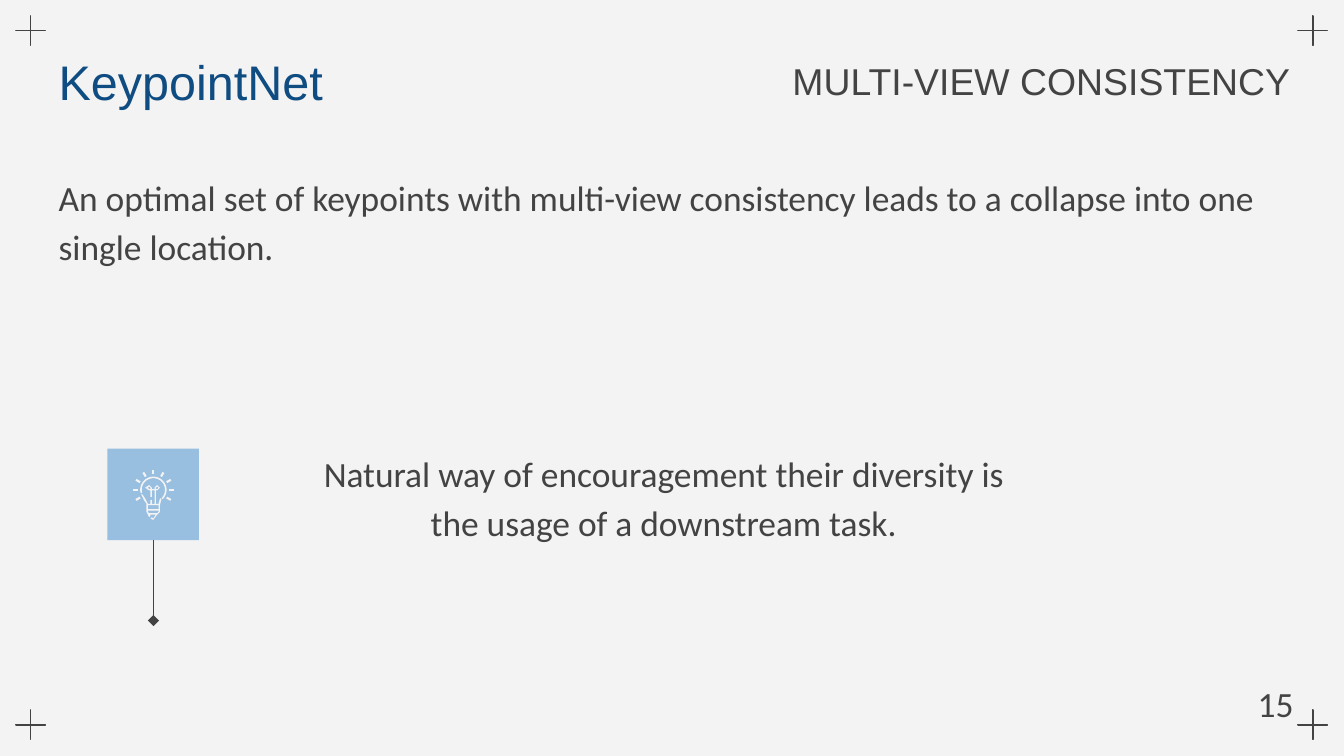
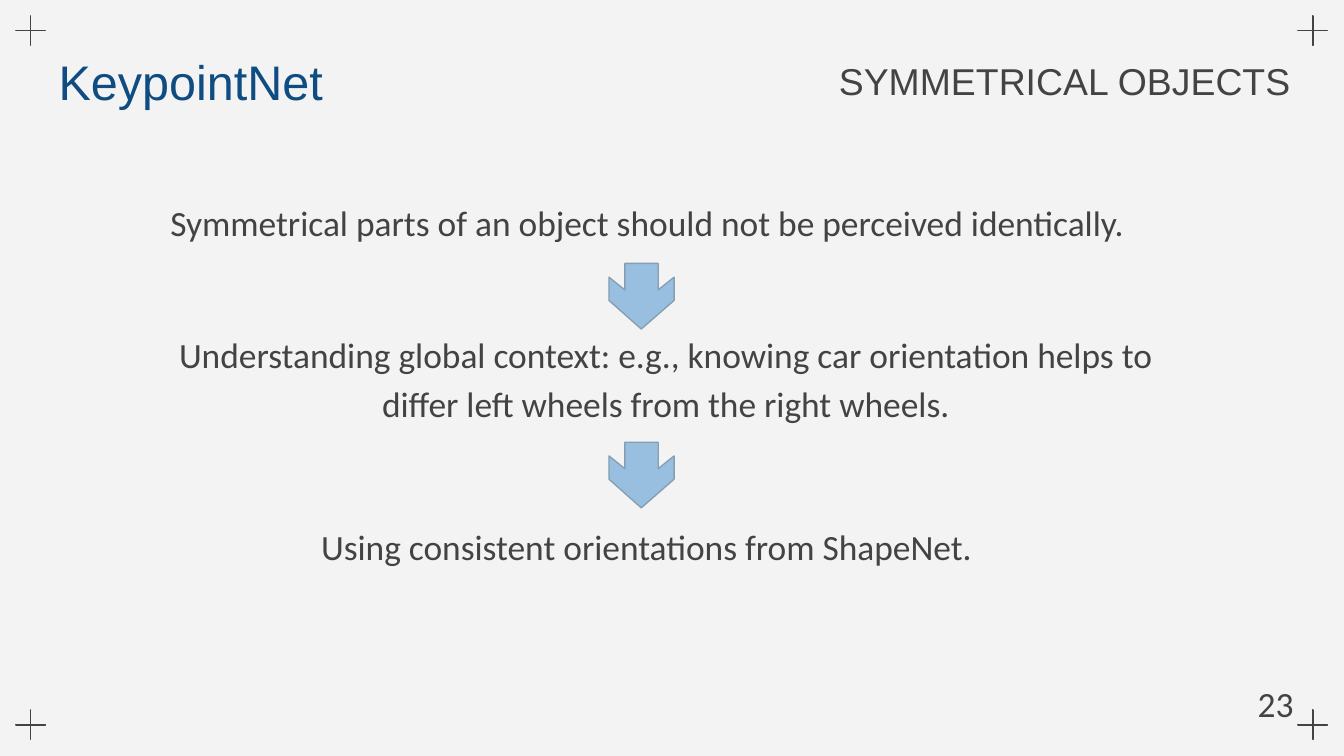
import math
import pptx
import pptx.util
import pptx.dml.color
import pptx.enum.shapes
import pptx.enum.text
import pptx.oxml
import pptx.oxml.ns

Cm = pptx.util.Cm
Pt = pptx.util.Pt
RGB = pptx.dml.color.RGBColor.from_string
Kind = pptx.enum.shapes.MSO_SHAPE
Side = pptx.enum.text.PP_ALIGN
Hold = pptx.enum.text.MSO_ANCHOR

hues = {"paper": "F3F3F3", "ink": "434343", "navy": "0F4C81", "sky": "98BEE0", "edge": "869FB2"}


def write(slide, text, box, size=19, font="Calibri", hue="ink", align=Side.LEFT, low=None):
    area = slide.shapes.add_textbox(*[Cm(n) for n in box])
    frame = area.text_frame
    frame.word_wrap = True
    para = frame.paragraphs[0]
    para.alignment = align
    if low:
        frame.vertical_anchor = Hold.BOTTOM
        frame.margin_bottom = Cm(low)
        para.line_spacing = 1.15
    run = para.add_run()
    run.text = text
    run.font.size = Pt(size)
    run.font.name = font
    run.font.color.rgb = RGB(hues[hue])


def draw(slide, loops, fill, edge=None):
    maker = None
    for loop in loops:
        pts = [(Cm(x), Cm(y)) for x, y in loop]
        if maker is None:
            maker = slide.shapes.build_freeform(*pts[0])
        else:
            maker.move_to(*pts[0])
        maker.add_line_segments(pts[1:], close=True)
    form = maker.convert_to_shape()
    form.shadow.inherit = False
    form.fill.solid()
    form.fill.fore_color.rgb = RGB(hues[fill])
    if edge:
        form.line.color.rgb = RGB(hues[edge])
        form.line.width = Pt(0.75)
    else:
        form.line.fill.background()


deck = pptx.Presentation()
deck.slide_width = Cm(25.4)
deck.slide_height = Cm(14.29)
back = deck.slide_master.background.fill
back.solid()
back.fore_color.rgb = RGB(hues["paper"])

pages = []
for topic, number in [("MULTI-VIEW CONSISTENCY", "15"), ("SYMMETRICAL OBJECTS", "23")]:
    slide = deck.slides.add_slide(deck.slide_layouts[6])
    for top in (0.2, 13.32):
        for left in (0.2, 24.43):
            cross = slide.shapes.add_shape(Kind.MATH_PLUS, Cm(left), Cm(top), Cm(0.76), Cm(0.76))
            cross.adjustments[0] = 0.007
            cross.shadow.inherit = False
            cross.fill.background()
            cross.line.color.rgb = RGB(hues["ink"])
            cross.line.width = Pt(0.75)
    write(slide, "KeypointNet", (0.86, 0.86, 9.5, 1.12), 26, "Arial", "navy")
    write(slide, topic, (12.12, 0.97, 12.52, 1.12), 20, "Arial", align=Side.RIGHT)
    write(slide, number, (23.52, 12.5, 1.22, 1.45), low=0.25)
    pages.append(slide)

views, pairs = pages

write(views, "An optimal set of keypoints with multi-view consistency leads to a collapse into one single location.",
      (0.86, 3.66, 23.44, 2.57), low=1.17)
write(views, "Natural way of encouragement their diversity is the usage of a downstream task.",
      (5.61, 7.95, 13.87, 2.57), align=Side.CENTER, low=0.25)

tile = views.shapes.add_shape(Kind.RECTANGLE, Cm(2.03), Cm(8.48), Cm(1.73), Cm(1.73))
tile.shadow.inherit = False
tile.fill.solid()
tile.fill.fore_color.rgb = RGB(hues["sky"])
tile.line.fill.background()

mid, high = 2.9, 9.26
for turn in range(-120, 121, 30):
    if abs(turn) == 150:
        continue
    sin, cos = math.sin(math.radians(turn)), math.cos(math.radians(turn))
    ray = [(mid + r * sin + w * cos, high - r * cos + w * sin)
           for r, w in [(0.29, -0.02), (0.38, -0.02), (0.38, 0.02), (0.29, 0.02)]]
    draw(views, [ray], "paper")

turns = [math.radians(n) for n in range(-105, 136, 10)]
glass = [(mid + r * math.sin(a), high - r * math.cos(a))
         for r, arc in [(0.25, turns), (0.22, turns[::-1])] for a in arc]
draw(views, [glass], "paper")

core = [
    [(11, 11), (8, 13), (11, 15), (12, 15), (12, 20), (13, 20), (13, 15), (15, 15), (15, 25),
     (13, 25), (13, 22), (12, 22), (12, 25), (10, 25), (8, 21), (6, 18), (5, 18), (7, 22),
     (9, 25), (9, 31), (10, 33), (11, 35), (12, 34), (12, 33), (16, 33), (14, 36), (13, 35),
     (12, 36), (14, 37), (17, 33), (19, 31), (19, 26), (20, 22), (20, 21), (19, 21), (18, 25),
     (16, 25), (16, 15), (17, 15), (19, 13), (17, 11), (15, 13), (15, 14), (13, 14), (13, 13)],
    [(11, 12), (12, 13), (12, 14), (11, 14), (10, 13)],
    [(17, 12), (18, 13), (17, 14), (16, 14), (16, 13)],
    [(18, 26), (18, 29), (10, 29), (10, 26)],
    [(18, 30), (18, 31), (17, 32), (11, 32), (10, 31), (10, 30)],
]
draw(views, [[(2.54 + x * 2.54 / 100, 8.89 + y * 2.54 / 100) for x, y in loop] for loop in core], "paper")

stem = views.shapes.add_connector(pptx.enum.shapes.MSO_CONNECTOR.STRAIGHT, Cm(mid), Cm(10.21), Cm(mid), Cm(11.73))
stem.line.color.rgb = RGB(hues["ink"])
stem.line.width = Pt(0.75)
tip = pptx.oxml.parse_xml('<a:tailEnd %s type="diamond"/>' % pptx.oxml.ns.nsdecls("a"))
stem.line._get_or_add_ln().append(tip)
stem._element.spPr.append(pptx.oxml.parse_xml("<a:effectLst %s/>" % pptx.oxml.ns.nsdecls("a")))

write(pairs, "Symmetrical parts of an object should not be perceived identically.",
      (2.97, 3.56, 19.53, 3.12), low=2.08)
write(pairs, "Understanding global context: e.g., knowing car orientation helps to differ left wheels from the right wheels.",
      (2.82, 6.99, 19.53, 3.12), align=Side.CENTER, low=2.08)
write(pairs, "Using consistent orientations from ShapeNet.",
      (-0.2, 8.41, 24.84, 2.57), align=Side.CENTER, low=0.25)

arrow = [(1.23, 0.26), (0.93, 0.5), (0.93, 0), (0.3, 0), (0.3, 0.5),
         (0, 0.26), (0, 0.7), (0.61, 1.24), (1.23, 0.7)]
for top in (4.98, 8.36):
    draw(pairs, [[(11.51 + x, top + y) for x, y in arrow]], "sky", "edge")

deck.save("out.pptx")
